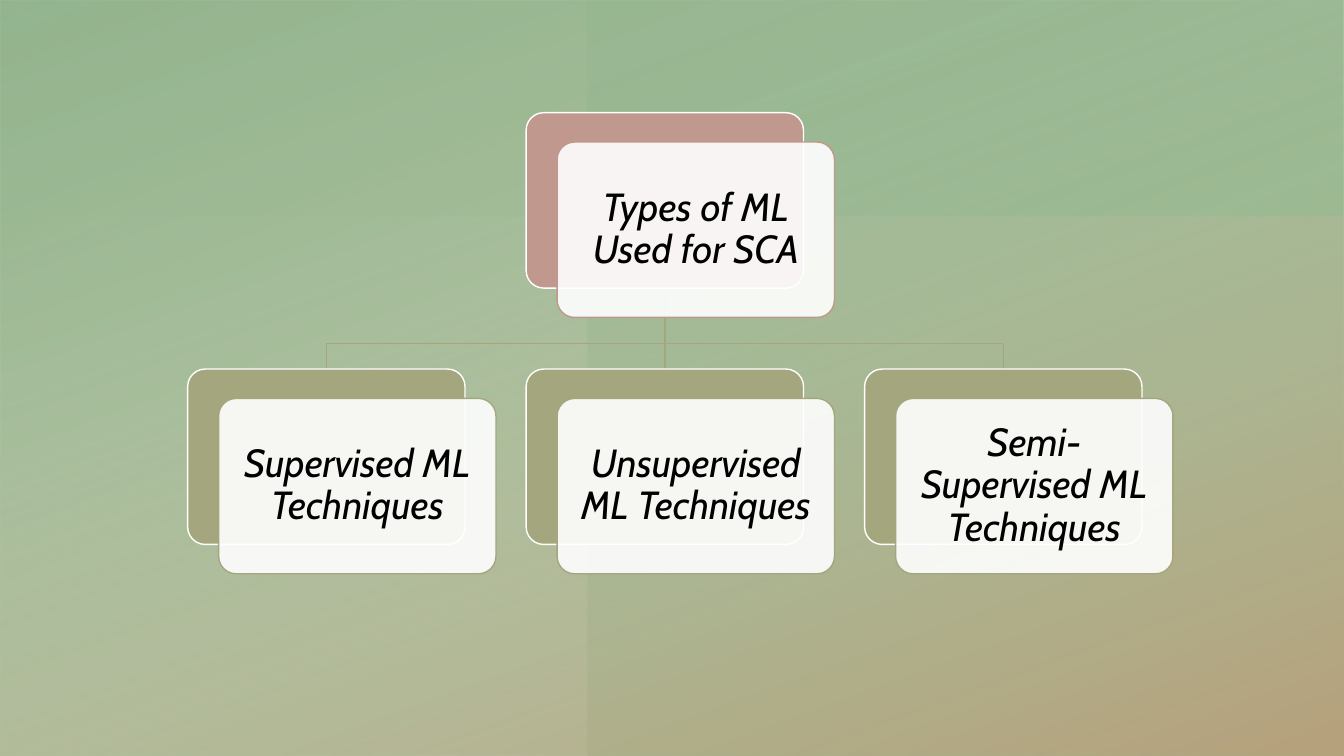
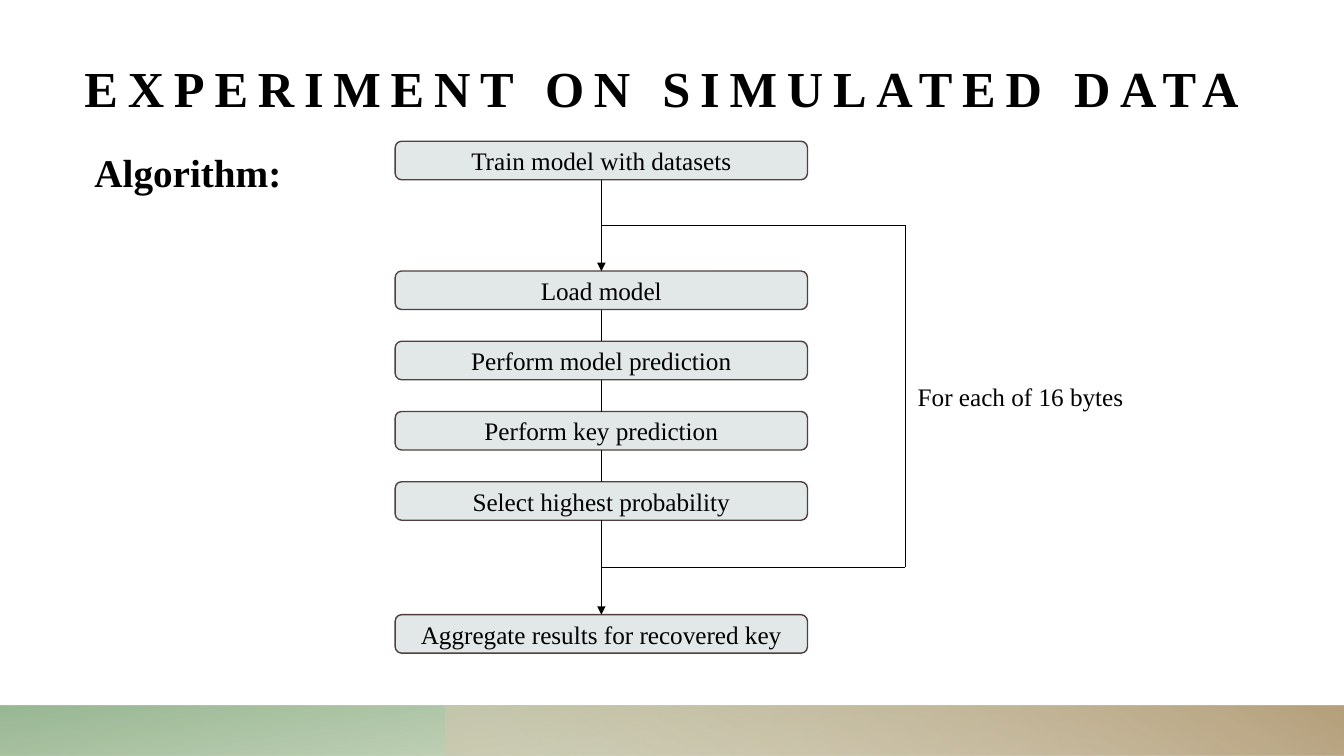
from itertools import pairwise

from pptx import Presentation
from pptx.dml.color import RGBColor
from pptx.enum.shapes import MSO_CONNECTOR as Link, MSO_SHAPE as Form
from pptx.enum.text import MSO_ANCHOR as Anchor, PP_ALIGN as Align
from pptx.oxml import parse_xml
from pptx.oxml.ns import nsdecls, qn
from pptx.oxml.xmlchemy import OxmlElement
from pptx.util import Cm, Pt

BLACK = RGBColor(0x00, 0x00, 0x00)
WHITE = RGBColor(0xFF, 0xFF, 0xFF)
ROSE = RGBColor(0xC1, 0x98, 0x8D)
OLIVE = RGBColor(0xA4, 0xA6, 0x7E)
MIST = RGBColor(0xE2, 0xE7, 0xE8)
BROWN = RGBColor(0x51, 0x40, 0x3B)
MOSS = RGBColor(0x90, 0xA9, 0x74)
FERN = RGBColor(0x86, 0xAB, 0x81)
JADE = RGBColor(0x77, 0xAF, 0x88)
SAGE = RGBColor(0xB6, 0xCD, 0xB3)
SAND = RGBColor(0xD3, 0xC7, 0xB0)
TAN = RGBColor(0xB6, 0xA1, 0x7C)
SANS, SERIF = "Cabin", "Times New Roman"
WIDE, HIGH = 33.87, 19.05

# Box as seen (cm), turn, gradient angle, stops of (position, colour, opacity)
COVER = [
    ((0, 0, WIDE, HIGH), 270, 200, [(8, MOSS, 61), (100, FERN, 89)]),
    ((14.82, 0, HIGH, HIGH), 180, 290, [(8, JADE, 11), (100, MOSS, 70)]),
    ((0, 5.46, WIDE, 13.59), 270, 20, [(0, SAGE, 0), (99, TAN, 100)]),
]
FOOTER = [
    ((0, 17.78, WIDE, 1.27), 180, 100, [(14, MOSS, 28), (100, FERN, 85)]),
    ((11.22, 17.78, 22.65, 1.27), 0, 240, [(9, SAND, 55), (99, TAN, 100)]),
]

ROOT = "Types of ML Used for SCA"
KINDS = ["Supervised ML Techniques", "Unsupervised ML Techniques",
         "Semi-Supervised ML Techniques"]

TITLE = "EXPERIMENT ON SIMULATED DATA"
LABEL = "Algorithm:"
LOOP = "For each of 16 bytes"
# Step and the gap above it (cm)
STEPS = [
    ("Train model with datasets", 0),
    ("Load model", 2.3),
    ("Perform model prediction", 0.8),
    ("Perform key prediction", 0.8),
    ("Select highest probability", 0.8),
    ("Aggregate results for recovered key", 2.38),
]


def add_box(slide, form, box, fill, line=None):
    shape = slide.shapes.add_shape(form, *map(Cm, box))
    shape.shadow.inherit = False
    shape.fill.solid()
    shape.fill.fore_color.rgb = fill
    if line is None:
        shape.line.fill.background()
    else:
        shape.line.color.rgb = line
        shape.line.width = Pt(1)
    return shape


def set_alpha(shape, share):
    tint = shape.fill._xPr.find(qn("a:solidFill"))[0]
    alpha = OxmlElement("a:alpha")
    alpha.set("val", str(share * 1000))
    tint.append(alpha)


def add_wash(slide, box, turn, angle, stops):
    """Add a mirrored, turned rectangle with a see-through gradient."""
    x, y, w, h = box
    if turn == 270:
        x, y, w, h = x + (w - h) / 2, y + (h - w) / 2, h, w
    shape = add_box(slide, Form.RECTANGLE, (x, y, w, h), WHITE)
    shape.rotation = turn
    props = shape._element.spPr
    props.find(qn("a:xfrm")).set("flipH", "1")
    marks = "".join(
        f'<a:gs pos="{pos * 1000}"><a:srgbClr val="{tint}">'
        f'<a:alpha val="{alpha * 1000}"/></a:srgbClr></a:gs>'
        for pos, tint, alpha in stops)
    fill = parse_xml(
        f'<a:gradFill {nsdecls("a")} rotWithShape="1"><a:gsLst>{marks}</a:gsLst>'
        f'<a:lin ang="{angle * 60000}" scaled="0"/></a:gradFill>')
    props.replace(props.find(qn("a:solidFill")), fill)


def add_line(slide, start, end, color=BLACK, width=0.75, arrow=False):
    line = slide.shapes.add_connector(Link.STRAIGHT, *map(Cm, start + end))
    line.line.color.rgb = color
    line.line.width = Pt(width)
    if arrow:
        tail = OxmlElement("a:tailEnd")
        tail.set("type", "triangle")
        line.line._get_or_add_ln().append(tail)
    line._element.spPr.append(OxmlElement("a:effectLst"))


def set_text(shape, text, size, font=SERIF, align=Align.CENTER,
             anchor=Anchor.MIDDLE, pad=(0.25, 0.13), bold=False, italic=False):
    frame = shape.text_frame
    frame.text = text
    frame.word_wrap = True
    frame.vertical_anchor = anchor
    frame.margin_left = frame.margin_right = Cm(pad[0])
    frame.margin_top = frame.margin_bottom = Cm(pad[1])
    para = frame.paragraphs[0]
    para.alignment = align
    face = para.runs[0].font
    face.name, face.size = font, Pt(size)
    face.bold, face.italic = bold, italic
    face.color.rgb = BLACK
    return para


def add_text(slide, box, text, size, **style):
    return set_text(slide.shapes.add_textbox(*map(Cm, box)), text, size, **style)


def add_card(slide, x, y, w, h, text, color):
    """Add a coloured card with a pale text card shifted in front of it."""
    back = add_box(slide, Form.ROUNDED_RECTANGLE, (x, y, w, h), color, WHITE)
    front = add_box(slide, Form.ROUNDED_RECTANGLE,
                    (x + 0.78, y + 0.74, w, h), WHITE, color)
    for card in (back, front):
        card.adjustments[0] = 0.1
    set_alpha(front, 90)
    para = set_text(front, text, 28, SANS, pad=(0.44, 0.44), italic=True)
    para.line_spacing = 0.9


def draw_types(slide):
    for wash in COVER:
        add_wash(slide, *wash)
    w, h = 6.99, 4.42
    top, joint, row = 2.84, 8.66, 9.3
    lefts = [4.73 + 8.53 * i for i in range(len(KINDS))]
    mids = [x + w / 2 for x in lefts]
    hub = (mids[0] + mids[-1]) / 2
    pen = {"color": OLIVE, "width": 1}
    add_line(slide, (hub, top + h), (hub, joint), **pen)
    add_line(slide, (mids[0], joint), (mids[-1], joint), **pen)
    for mid in mids:
        add_line(slide, (mid, joint), (mid, row), **pen)
    add_card(slide, hub - w / 2, top, w, h, ROOT, ROSE)
    for x, kind in zip(lefts, KINDS):
        add_card(slide, x, row, w, h, kind, OLIVE)


def draw_steps(slide):
    for wash in FOOTER:
        add_wash(slide, *wash)
    para = add_text(slide, (2.13, 0.76, 29.62, 2.21), TITLE, 36, bold=True,
                    align=Align.LEFT, anchor=Anchor.BOTTOM, pad=(0, 0))
    para.runs[0]._r.get_or_add_rPr().set("spc", "700")
    add_text(slide, (2.13, 3.61, 5.59, 1.45), LABEL, 28, bold=True,
             align=Align.LEFT, anchor=Anchor.TOP)

    x, y, w, h = 9.96, 3.56, 10.39, 0.97
    mid, side = x + w / 2, 22.81
    tops = []
    for text, gap in STEPS:
        y += gap
        tops.append(y)
        step = add_box(slide, Form.ROUNDED_RECTANGLE, (x, y, w, h), MIST, BROWN)
        step.adjustments[0] = 0.167
        set_text(step, text, 18)
        y += h

    turns = []
    for upper, lower in pairwise(tops):
        start = upper + h
        long = lower - start > 1
        add_line(slide, (mid, start), (mid, lower), arrow=long)
        if long:
            turns.append((start + lower) / 2)
    for turn in turns:
        add_line(slide, (mid, turn), (side, turn))
    add_line(slide, (side, turns[0]), (side, turns[-1]))
    add_text(slide, (side, sum(turns) / 2 - 0.51, 5.82, 1.02), LOOP, 18)


def main():
    deck = Presentation()
    deck.slide_width, deck.slide_height = Cm(WIDE), Cm(HIGH)
    for draw in (draw_types, draw_steps):
        draw(deck.slides.add_slide(deck.slide_layouts[6]))
    deck.save("out.pptx")


if __name__ == "__main__":
    main()
